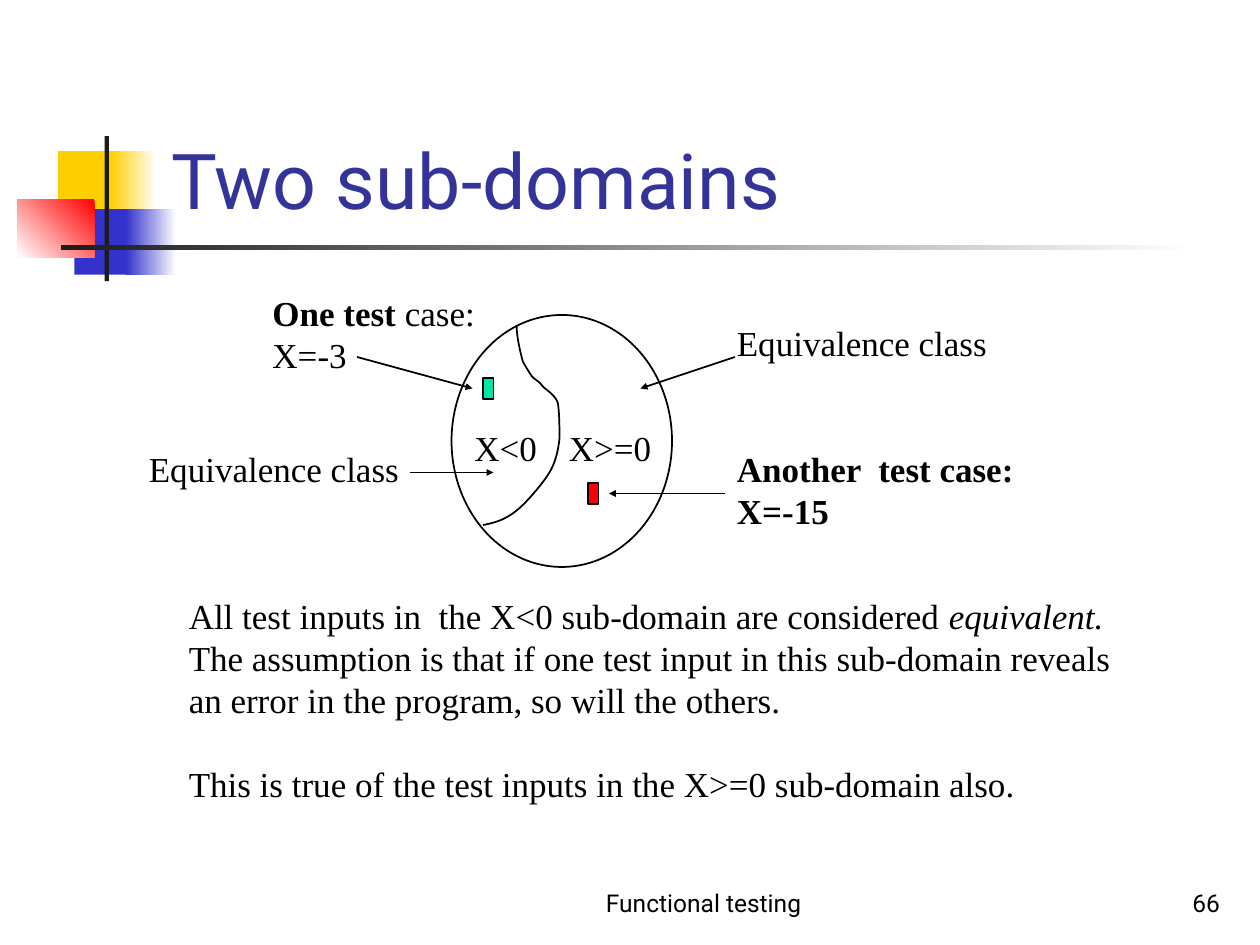
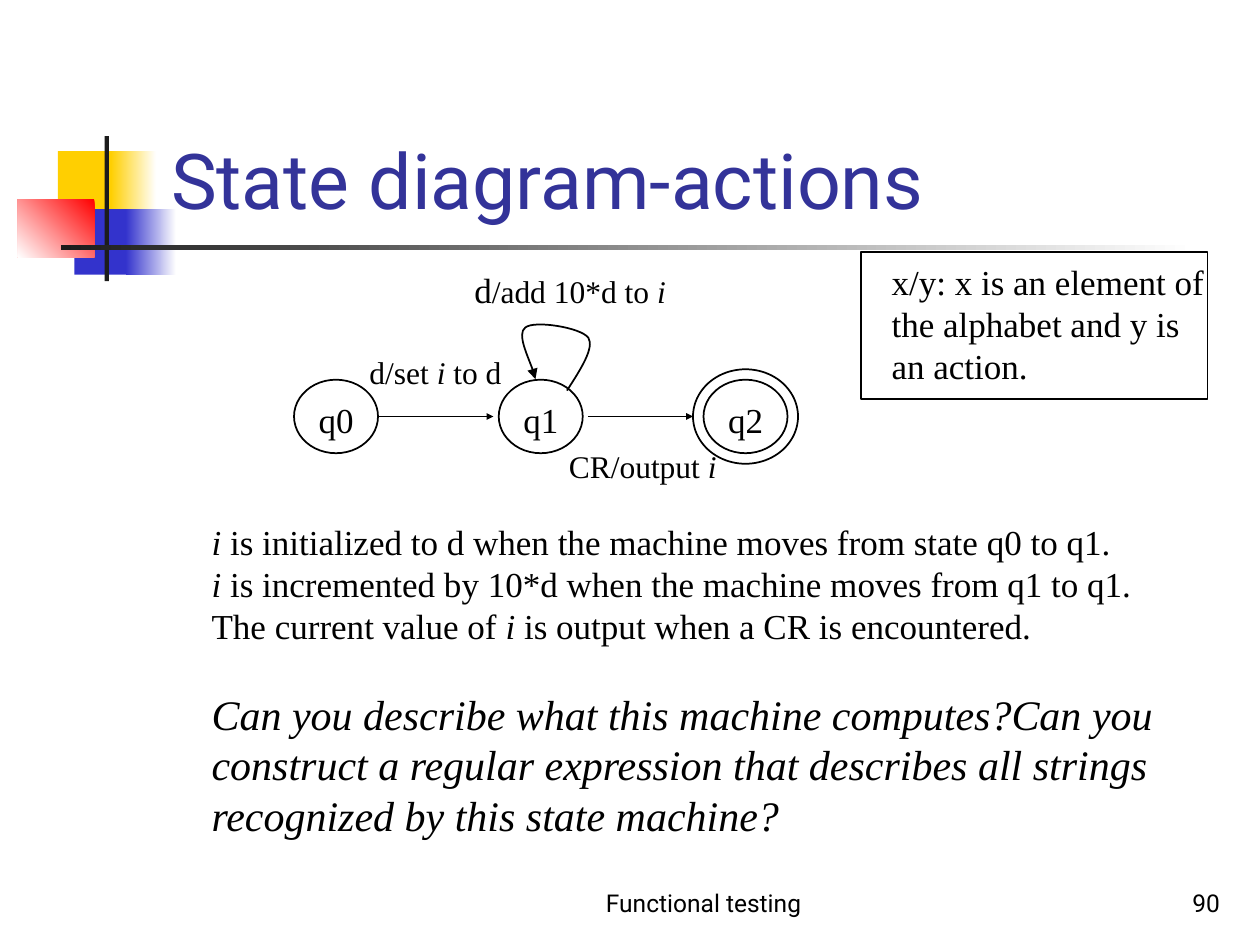
from typing import Any, NamedTuple

from lxml.etree import SubElement
from pptx import Presentation
from pptx.dml.color import RGBColor
from pptx.enum.shapes import MSO_CONNECTOR as Link, MSO_SHAPE as Kind
from pptx.enum.text import MSO_ANCHOR as Anchor, MSO_AUTO_SIZE as Fit, PP_ALIGN as Align
from pptx.oxml.ns import qn
from pptx.util import Pt

HUES = {
    "ink": "000000",
    "title": "333399",
    "white": "FFFFFF",
    "gold": "FFCF01",
    "blue": "3333CC",
    "red": "FF0000",
    "coal": "1C1C1C",
    "mint": "00E4A8",
}
SANS = "Roboto"
SERIF = "Times New Roman"
LEAD = 1.2

Spot = tuple[float, float]


class Box(NamedTuple):
    x: float
    y: float
    w: float
    h: float


class Run(NamedTuple):
    text: str
    size: float = 20
    bold: bool = False
    slant: bool = False


class Line(NamedTuple):
    runs: tuple[Run, ...]
    gap: float = 0


class Note(NamedTuple):
    box: Box
    lines: tuple[Line, ...]


class Style(NamedTuple):
    font: str
    hue: str
    align: Align
    anchor: Anchor


class Block(NamedTuple):
    box: Box
    hue: str
    fade: str = ""
    angle: float = 0


class Arrow(NamedTuple):
    start: Spot
    end: Spot


PROSE = Style(SERIF, "ink", Align.LEFT, Anchor.TOP)
HEAD = Style(SANS, "title", Align.LEFT, Anchor.BOTTOM)
FOOT = Style(SANS, "ink", Align.CENTER, Anchor.BOTTOM)
PAGE = FOOT._replace(align=Align.RIGHT)

DECOR = (
    Block(Box(33.1, 86.4, 34.6, 37.4), "gold"),
    Block(Box(63.4, 86.4, 25.9, 37.4), "gold", "white"),
    Block(Box(42.5, 119.5, 33.1, 37.4), "blue"),
    Block(Box(72, 119.5, 28.8, 37.4), "blue", "white"),
    Block(Box(10.1, 113.8, 43.9, 33.1), "red", "white", 225),
    Block(Box(59.8, 77.8, 2.5, 82.8), "coal"),
    Block(Box(34.8, 140.2, 648, 2.5), "coal", "white"),
)


def plain(text: str, size: float = 20, bold: bool = False, slant: bool = False, gap: float = 0) -> Line:
    return Line((Run(text, size, bold, slant),), gap)


def tint(name: str) -> RGBColor:
    return RGBColor.from_string(HUES[name])


def write(slide: Any, note: Note, style: Style = PROSE) -> None:
    shape = slide.shapes.add_textbox(*map(Pt, note.box))
    frame = shape.text_frame
    frame.word_wrap = True
    frame.auto_size = Fit.SHAPE_TO_FIT_TEXT if style is PROSE else Fit.NONE
    frame.vertical_anchor = style.anchor
    for i, line in enumerate(note.lines):
        para = frame.add_paragraph() if i else frame.paragraphs[0]
        para.alignment = style.align
        if style.font == SERIF:
            para.line_spacing = Pt(LEAD * max(run.size for run in line.runs))
        if line.gap:
            para.space_before = Pt(line.gap)
        for run in line.runs:
            part = para.add_run()
            part.text = run.text
            font = part.font
            font.name, font.size = style.font, Pt(run.size)
            font.bold, font.italic = run.bold, run.slant
            font.color.rgb = tint(style.hue)


def ink(shape: Any, tip: str = "") -> None:
    shape.line.color.rgb = tint("ink")
    shape.line.width = Pt(1)
    if tip:
        edge = shape.element.spPr.find(qn("a:ln"))
        SubElement(edge, qn("a:tailEnd"), type="triangle", w=tip, len=tip)


def trace(slide: Any, kind: Kind, box: Box, hue: str = "") -> None:
    shape = slide.shapes.add_shape(kind, *map(Pt, box))
    shape.shadow.inherit = False
    if hue:
        shape.fill.solid()
        shape.fill.fore_color.rgb = tint(hue)
    else:
        shape.fill.background()
    ink(shape)


def paint(slide: Any, block: Block) -> None:
    shape = slide.shapes.add_shape(Kind.RECTANGLE, *map(Pt, block.box))
    shape.shadow.inherit = False
    shape.line.fill.background()
    fill = shape.fill
    if block.fade:
        fill.gradient()
        fill.gradient_angle = block.angle
        for stop, hue in zip(fill.gradient_stops, (block.hue, block.fade)):
            stop.color.rgb = tint(hue)
    else:
        fill.solid()
        fill.fore_color.rgb = tint(block.hue)


def point(slide: Any, arrow: Arrow) -> None:
    shape = slide.shapes.add_connector(Link.STRAIGHT, *map(Pt, arrow.start + arrow.end))
    ink(shape, "sm")
    SubElement(shape.element.spPr, qn("a:effectLst"))


def curve(slide: Any, spots: tuple[Spot, ...], tip: str = "") -> None:
    first, *rest = [(Pt(x), Pt(y)) for x, y in spots]
    pen = slide.shapes.build_freeform(*first)
    pen.add_line_segments(rest, close=False)
    shape = pen.convert_to_shape()
    shape.shadow.inherit = False
    shape.fill.background()
    ink(shape, tip)
    steps = list(shape.element.iter(qn("a:lnTo")))
    for i in range(0, len(steps), 3):
        bend = steps[i].getparent().makeelement(qn("a:cubicBezTo"))
        steps[i].addprevious(bend)
        for step in steps[i:i + 3]:
            bend.append(step[0])
            step.getparent().remove(step)


def start(deck: Any, title: str, page: str) -> Any:
    slide = deck.slides.add_slide(deck.slide_layouts[6])
    for block in DECOR:
        paint(slide, block)
    write(slide, Note(Box(90.7, 16.6, 613.4, 115.2), (plain(title, 44),)), HEAD)
    write(slide, Note(Box(288, 491.8, 228.2, 36), (plain("Functional testing", 14),)), FOOT)
    write(slide, Note(Box(554.4, 491.8, 149.8, 36), (plain(page, 14),)), PAGE)
    return slide


def domains(deck: Any) -> None:
    slide = start(deck, "Two sub-domains", "66")
    trace(slide, Kind.OVAL, Box(258, 180, 126, 144))
    curve(slide, (
        (276, 300),
        (290.2, 297.4), (296.6, 292.3), (308.9, 277.2),
        (313.9, 270.7), (318.2, 265), (319.7, 250.6),
        (319.7, 244.8), (319.7, 237.6), (319, 231.8),
        (319, 226.8), (311.8, 222.5), (310.3, 221),
        (307.4, 216.7), (305.3, 217.4), (303.1, 213.8),
        (301.7, 211.7), (298.8, 206.6), (298.8, 206.6),
        (297.4, 201.6), (295.2, 192.2), (295.2, 185.8),
    ))
    trace(slide, Kind.RECTANGLE, Box(276, 216, 6, 12), "mint")
    trace(slide, Kind.RECTANGLE, Box(336, 276, 6, 12), "red")
    for arrow in (
        Arrow((204, 204), (270, 222)),
        Arrow((414, 282), (348, 282)),
        Arrow((234, 270), (282, 270)),
        Arrow((420, 204), (366, 222)),
    ):
        point(slide, arrow)
    peer = (plain("Equivalence class"),)
    for note in (
        Note(Box(148.6, 163, 134, 55.4),
             (Line((Run("One test", bold=True), Run(" case:"))), plain("X=-3"))),
        Note(Box(414, 252, 177, 55.4),
             (plain("Another  test case:", bold=True), plain("X=-15", bold=True))),
        Note(Box(264, 240, 54, 31.7), (plain("X<0"),)),
        Note(Box(318, 240, 65, 31.7), (plain("X>=0"),)),
        Note(Box(78, 252, 161, 31.7), peer),
        Note(Box(414, 180, 161, 31.7), peer),
        Note(Box(100.8, 336, 546, 127.4), (
            Line((Run("All test inputs in  the X<0 sub-domain are considered "),
                  Run("equivalent.", slant=True))),
            plain("The assumption is that if one test input in this sub-domain reveals"),
            plain("an error in the program, so will the others."),
            plain("This is true of the test inputs in the X>=0 sub-domain also.", gap=24),
        )),
    ):
        write(slide, note)


def states(deck: Any) -> None:
    slide = start(deck, "State diagram-actions", "90")
    trace(slide, Kind.RECTANGLE, Box(492, 144, 198, 84))
    for i in range(3):
        x = 168 + 117 * i
        trace(slide, Kind.OVAL, Box(x, 217, 48, 42))
        write(slide, Note(Box(x + 7, 224, 39, 31.7), (plain(f"q{i}"),)))
    trace(slide, Kind.OVAL, Box(396, 211, 60, 54))
    point(slide, Arrow((216, 238), (282, 238)))
    point(slide, Arrow((336, 238), (396, 238)))
    curve(slide, (
        (324, 223.2),
        (331.9, 211), (339.8, 198.7), (336.2, 193),
        (331.9, 187.2), (305.3, 182.9), (300.2, 187.2),
        (295.2, 190.8), (305.3, 211.7), (306, 216.7),
    ), "med")
    var = Run("i", slant=True)
    small = Run("i", 18, slant=True)
    for note in (
        Note(Box(204, 198, 95, 28.8),
             (Line((Run("d/set ", 18), small._replace(text="i "), Run("to d", 18))),)),
        Note(Box(264, 149.8, 128, 31.7),
             (Line((Run("d"), Run("/add 10*d to ", 18), small)),)),
        Note(Box(318, 252, 103, 28.8), (Line((Run("CR/output ", 18), small)),)),
        Note(Box(502.4, 145.4, 197, 79.2), (
            plain("x/y: x is an element of"),
            plain("the alphabet and y is"),
            plain("an action."),
        )),
        Note(Box(113.8, 293.8, 574.6, 190.1), (
            Line((var, Run(" is initialized to d when the machine moves from state q0 to q1."))),
            Line((var, Run(" is incremented by 10*d when the machine moves from q1 to q1."))),
            Line((Run("The current value of "), var, Run(" is output when a CR is encountered."))),
            plain("Can you describe what this machine computes?Can you", 24, slant=True, gap=24),
            plain("construct a regular expression that describes all strings", 24, slant=True),
            plain("recognized by this state machine?", 24, slant=True),
        )),
    ):
        write(slide, note)


def main() -> None:
    deck = Presentation()
    deck.slide_width, deck.slide_height = Pt(720), Pt(540)
    domains(deck)
    states(deck)
    deck.save("out.pptx")


if __name__ == "__main__":
    main()
